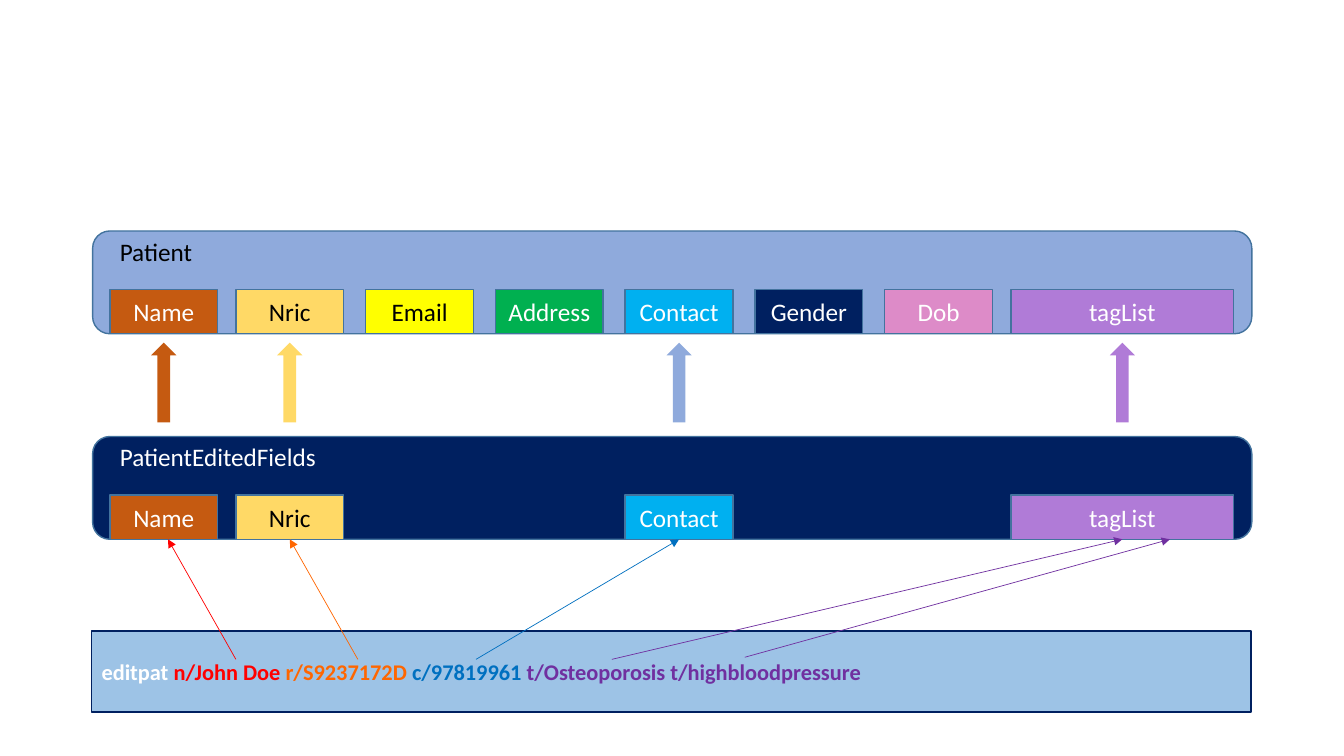
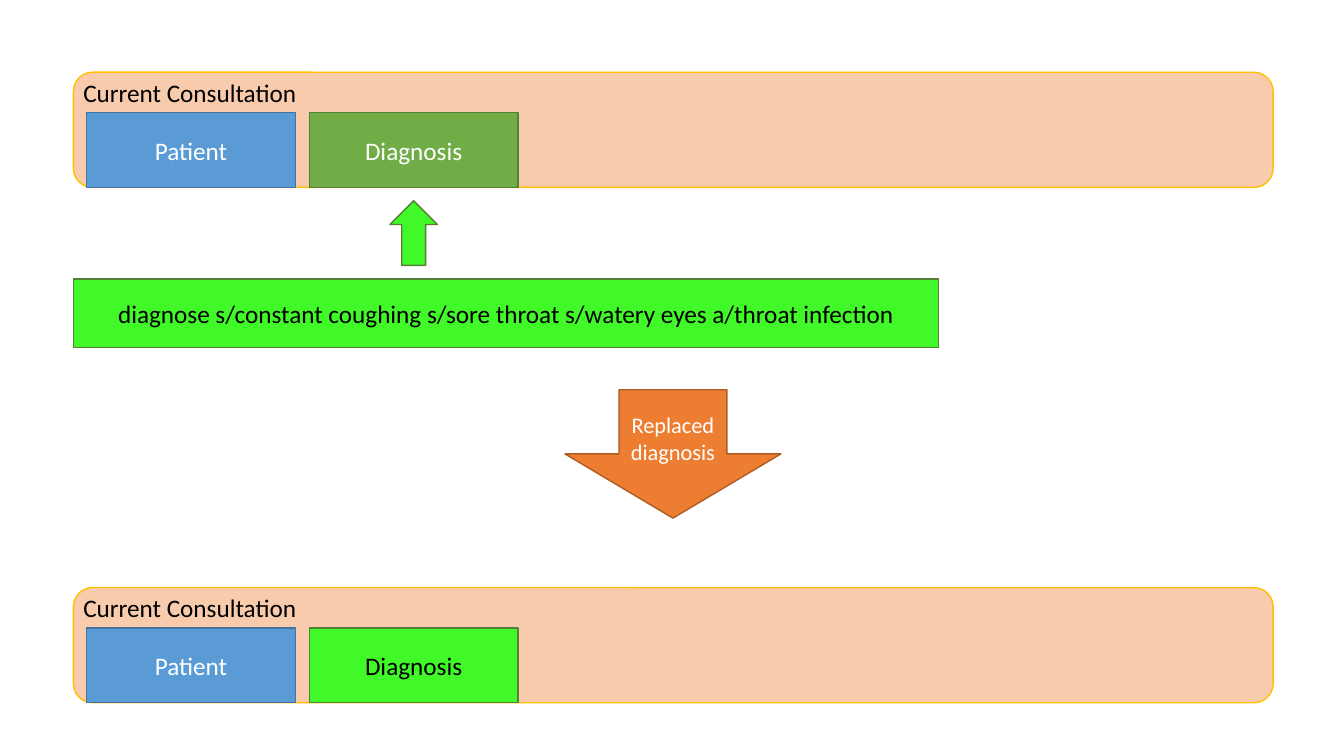
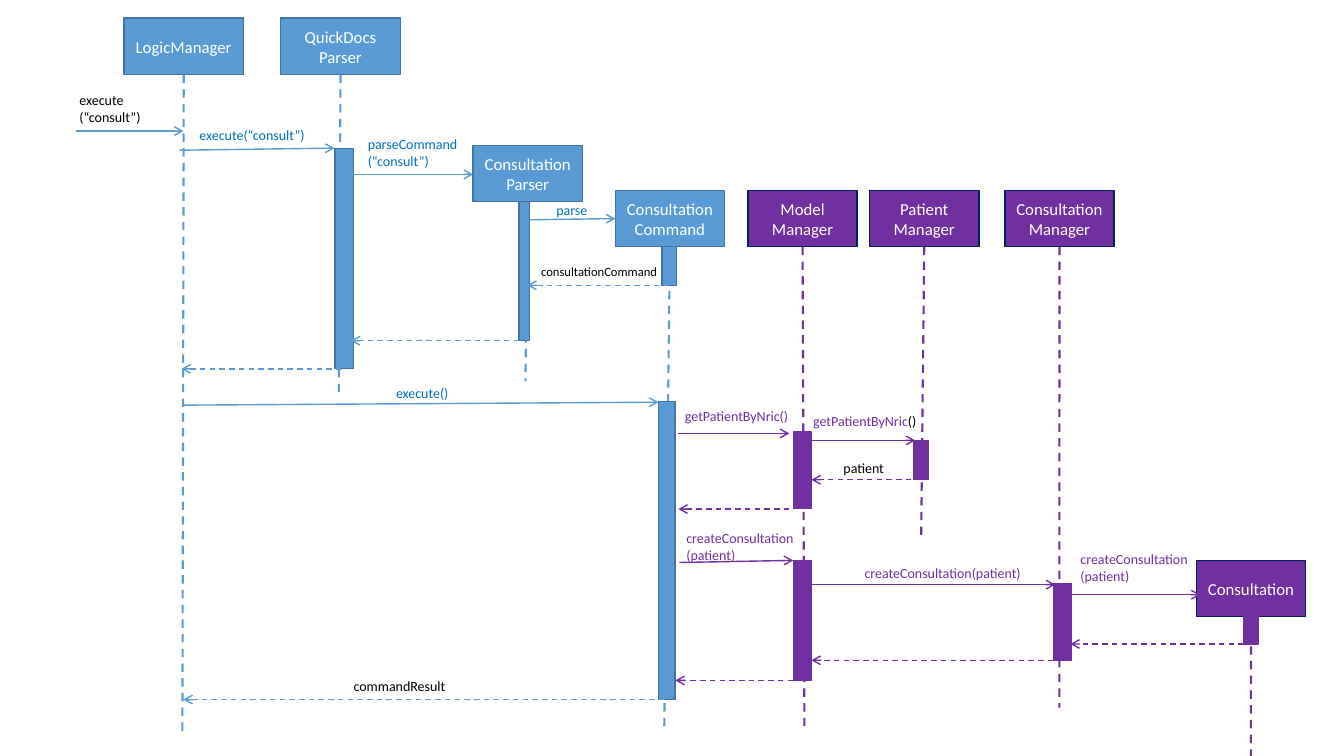
"""Builds three slides on patient editing, diagnosis replacement and consultation flow."""
from lxml import etree
from pptx import Presentation
from pptx.dml.color import RGBColor
from pptx.enum.dml import MSO_LINE
from pptx.enum.shapes import MSO_CONNECTOR, MSO_SHAPE as SHAPE
from pptx.enum.text import MSO_ANCHOR as ANCHOR, PP_ALIGN as ALIGN
from pptx.oxml.ns import qn
from pptx.util import Pt

FONT = "Calibri"
WHITE = RGBColor(0xFF, 0xFF, 0xFF)
BLACK = RGBColor(0x00, 0x00, 0x00)
NAVY = RGBColor(0x00, 0x20, 0x60)
STEEL = RGBColor(0x43, 0x73, 0x9E)
BLUE = RGBColor(0x5B, 0x9B, 0xD5)
INK_BLUE = RGBColor(0x00, 0x70, 0xC0)
PERIWINKLE = RGBColor(0x8F, 0xAA, 0xDC)
PALE_BLUE = RGBColor(0x9D, 0xC3, 0xE6)
SKY = RGBColor(0x00, 0xB0, 0xF0)
PURPLE = RGBColor(0x70, 0x30, 0xA0)
LILAC = RGBColor(0xB0, 0x7B, 0xD7)
PINK = RGBColor(0xDD, 0x8B, 0xC8)
RUST = RGBColor(0xC5, 0x5A, 0x11)
SAND = RGBColor(0xFF, 0xD9, 0x66)
YELLOW = RGBColor(0xFF, 0xFF, 0x00)
GREEN = RGBColor(0x00, 0xB0, 0x50)
RED = RGBColor(0xFF, 0x00, 0x00)
FLAME = RGBColor(0xFF, 0x66, 0x00)
PEACH = RGBColor(0xF8, 0xCB, 0xAD)
GOLD = RGBColor(0xFF, 0xC0, 0x00)
LEAF = RGBColor(0x70, 0xAD, 0x47)
MOSS = RGBColor(0x53, 0x80, 0x35)
LIME = RGBColor(0x41, 0xF8, 0x28)
ORANGE = RGBColor(0xED, 0x7D, 0x31)
BROWN = RGBColor(0xAF, 0x5C, 0x24)

FIELD_PITCH = 92.7
FIELDS = [
    ("Name", 78.5, 77, RUST, WHITE),
    *((name, 168.5 + FIELD_PITCH * i, 77, fill, ink) for i, (name, fill, ink) in enumerate([
        ("Nric", SAND, BLACK), ("Email", YELLOW, BLACK), ("Address", GREEN, WHITE),
        ("Contact", SKY, WHITE), ("Gender", NAVY, WHITE), ("Dob", PINK, WHITE)])),
    ("tagList", 722.2, 159, LILAC, WHITE),
]
EDITED = {"Name": RUST, "Nric": SAND, "Contact": PERIWINKLE, "tagList": LILAC}
RECORDS = [
    ("PatientEditedFields", 311.8, 156.5, NAVY, WHITE, list(EDITED)),
    ("Patient", 165, 67, PERIWINKLE, BLACK, [field[0] for field in FIELDS]),
]
EDIT_COMMAND = (
    ("editpat ", WHITE), ("n/John Doe ", RED), ("r/S9237172D ", FLAME),
    ("c/97819961 ", INK_BLUE), ("t/Osteoporosis t/highbloodpressure", PURPLE),
)
EDIT_LINKS = [
    ((168.5, 471), "Name", 3, RED),
    ((255.6, 471), "Nric", 0, FLAME),
    ((340, 471), "Contact", 0, INK_BLUE),
    ((437, 471), "tagList", 0, PURPLE),
    ((532, 469.5), "tagList", 34, PURPLE),
]

CONSULTATIONS = [(51.6, LEAF, WHITE), (419.7, LIME, BLACK)]
DIAGNOSE_COMMAND = "diagnose s/constant coughing s/sore throat s/watery eyes a/throat infection"

HEAD_H = 40.3
HEADS = [
    ("LogicManager", 88.5, 13, 85.5, BLUE, (130.3, 526.3)),
    ("QuickDocs\nParser", 200.5, 13, 85.5, BLUE, (242, 282.2)),
    ("Consultation\nParser", 338, 103.8, 78, BLUE, (375.3, 272.2)),
    ("ConsultationCommand", 439.5, 136, 78, BLUE, (474.5, 518.4)),
    ("Model\nManager", 534.3, 136, 78, PURPLE, (574.6, 518.4)),
    ("Patient\nManager", 621.2, 136, 78, PURPLE, (658, 383.8)),
    ("Consultation\nManager", 717.8, 136, 78, PURPLE, (756.7, 505.4)),
    ("Consultation", 854.6, 400.3, 78, PURPLE, (893.5, 540)),
]
HEAD_EDGE = {BLUE: STEEL, PURPLE: NAVY}
BAR_EDGE = {BLUE: STEEL, PURPLE: PURPLE}
ACTIVATIONS = [
    (239.2, 106, 13.2, 157.2, BLUE), (370.8, 144, 7.6, 99.4, BLUE),
    (473, 176, 10.5, 27.8, BLUE), (470.3, 287, 12, 212.7, BLUE),
    (566.8, 308.5, 13, 55, PURPLE), (652.3, 314.5, 10.8, 28, PURPLE),
    (566.8, 400.5, 13, 85.7, PURPLE), (752.5, 417, 13, 54.6, PURPLE),
    (888.2, 432, 10.8, 28, PURPLE),
]
CALLS = [
    ((54, 93.6), (131, 93.6), BLUE), ((128.2, 107.3), (239, 105.8), BLUE),
    ((250.6, 124.6), (338, 124.6), BLUE), ((378.7, 157), "ConsultationCommand", BLUE),
    ((131, 289.4), (470.3, 287.3), BLUE), ((484.6, 309.6), (563.8, 309.6), PURPLE),
    ((573.8, 314.6), (653.8, 314.6), PURPLE), ((485.3, 401.8), (566.6, 400.3), PURPLE),
    ((575.3, 417.6), (753.8, 417.6), PURPLE), ((765.4, 424.8), (857.5, 424.8), PURPLE),
]
RETURNS = [
    (478, 376.6, 203.8, BLUE), (370.8, 250.6, 243.4, BLUE), (244, 129.6, 263.5, BLUE),
    (474.5, 131, 499.7, BLUE), (650.9, 579.6, 342.7, PURPLE), (563.8, 484.6, 363.6, PURPLE),
    (888.5, 764.6, 460, PURPLE), (752.4, 579.6, 471.6, PURPLE), (566.6, 482.4, 486, PURPLE),
]
MESSAGE_LABELS = [
    ("execute\n(“consult”)", 49.7, 62, 62, BLACK, 10),
    ("execute(“consult”)", 135.4, 86.6, 93, INK_BLUE, 10),
    ("parseCommand\n(“consult”)", 255.6, 93.6, 82, INK_BLUE, 10),
    ("parse", 390.3, 140.4, 39, INK_BLUE, 10),
    ("consultationCommand", 379.4, 185, 106, BLACK, 9),
    ("execute()", 275.8, 270.8, 55, INK_BLUE, 10),
    ("getPatientByNric()", 482.2, 287.3, 92, PURPLE, 10),
    ((("getPatientByNric", PURPLE), ("()", BLACK)), 573.8, 290.9, 94, PURPLE, 10),
    ("patient", 595.4, 324.7, 46, BLACK, 10),
    ("createConsultation\n(patient)", 483.2, 374.6, 94, PURPLE, 10),
    ("createConsultation(patient)", 610.5, 399.6, 129, PURPLE, 10),
    ("createConsultation\n(patient)", 764.7, 389.6, 94, PURPLE, 10),
    ("commandResult", 245.5, 480.2, 93, BLACK, 10),
]


def put(target, **values):
    for key, value in values.items():
        setattr(target, key, value)


def write(frame, text, ink, size, align, bold=False):
    """Fill a frame from a string, or from one paragraph of (text, ink) runs."""
    lines = [[(line, ink)] for line in text.split("\n")] if isinstance(text, str) else [text]
    for i, line in enumerate(lines):
        paragraph = frame.add_paragraph() if i else frame.paragraphs[0]
        paragraph.alignment = align
        for words, color in line:
            run = paragraph.add_run()
            run.text = words
            put(run.font, name=FONT, size=Pt(size), bold=bold)
            run.font.color.rgb = color


def box(slide, preset, area, fill, edge=None, text="", ink=WHITE, size=18,
        align=ALIGN.CENTER, bold=False):
    shape = slide.shapes.add_shape(preset, *map(Pt, area))
    shape.shadow.inherit = False
    shape.fill.solid()
    shape.fill.fore_color.rgb = fill
    if edge is None:
        shape.line.fill.background()
    else:
        shape.line.color.rgb = edge
        shape.line.width = Pt(1)
    if text:
        put(shape.text_frame, word_wrap=True, vertical_anchor=ANCHOR.MIDDLE)
        write(shape.text_frame, text, ink, size, align, bold)
    return shape


def label(slide, text, left, top, width, ink, size=18):
    rows = text.count("\n") + 1 if isinstance(text, str) else 1
    height = rows * size * 1.2 + 7.4
    frame = slide.shapes.add_textbox(Pt(left), Pt(top), Pt(width), Pt(height)).text_frame
    frame.word_wrap = True
    write(frame, text, ink, size, ALIGN.LEFT)


def link(slide, start, end, color, width=1, dashed=False, head=None):
    connector = slide.shapes.add_connector(MSO_CONNECTOR.STRAIGHT, *map(Pt, (*start, *end)))
    connector.line.color.rgb = color
    connector.line.width = Pt(width)
    if dashed:
        connector.line.dash_style = MSO_LINE.DASH
    properties = connector.element.spPr
    if head:
        etree.SubElement(properties.find(qn("a:ln")), qn("a:tailEnd"), type=head)
    etree.SubElement(properties, qn("a:effectLst"))
    return connector


def edit_slide(slide):
    band_h, field_h = 73.4, 31.7
    targets, centers = {}, {}
    for title, top, title_w, fill, title_ink, shown in RECORDS:
        box(slide, SHAPE.ROUNDED_RECTANGLE, (66.2, top, 828, band_h), fill, STEEL)
        label(slide, title, 78.5, top, title_w, title_ink)
        for name, left, width, color, ink in FIELDS:
            if name in shown:
                area = (left, top + band_h - field_h, width, field_h)
                field = box(slide, SHAPE.RECTANGLE, area, color, STEEL, name, ink)
                targets.setdefault(name, field)
                centers[name] = left + width / 2
    for name, color in EDITED.items():
        box(slide, SHAPE.UP_ARROW, (centers[name] - 9, 244.8, 18, 56.9), color)
    box(slide, SHAPE.RECTANGLE, (65.5, 450.7, 828, 57.8), PALE_BLUE, NAVY,
        EDIT_COMMAND, size=16, align=ALIGN.JUSTIFY, bold=True)
    for start, name, shift, color in EDIT_LINKS:
        end = (centers[name] + shift, RECORDS[0][1] + band_h)
        arrow = link(slide, start, end, color, 0.5, head="triangle")
        if not shift:
            arrow.end_connect(targets[name], 2)


def diagnosis_slide(slide):
    left, band_h, card_top, card_w, pitch = 52.4, 82.3, 28.8, 149, 159
    card_left = left + 9.6
    for top, fill, ink in CONSULTATIONS:
        box(slide, SHAPE.ROUNDED_RECTANGLE, (left, top, 857, band_h), PEACH, GOLD)
        label(slide, "Current Consultation", left, top, 170, BLACK)
        cards = [("Patient", BLUE, STEEL, WHITE), ("Diagnosis", fill, MOSS, ink)]
        for i, (name, color, edge, card_ink) in enumerate(cards):
            area = (card_left + i * pitch, top + card_top, card_w, band_h - card_top)
            box(slide, SHAPE.RECTANGLE, area, color, edge, name, card_ink)
    box(slide, SHAPE.RECTANGLE, (left, 199.3, 618, 49), LIME, MOSS, DIAGNOSE_COMMAND, BLACK)
    diagnosis_center = card_left + pitch + card_w / 2
    box(slide, SHAPE.UP_ARROW, (diagnosis_center - 17, 143.4, 34, 46.2), LIME, MOSS)
    box(slide, SHAPE.DOWN_ARROW, (403.6, 278.4, 154.2, 91.7), ORANGE, BROWN,
        "Replaced diagnosis", size=16)


def sequence_slide(slide):
    heads = {}
    for name, left, top, width, color, foot in HEADS:
        area = (left, top, width, HEAD_H)
        heads[name] = box(slide, SHAPE.RECTANGLE, area, color, HEAD_EDGE[color], name, size=12)
        lifeline = link(slide, (left + width / 2, top + HEAD_H), foot, color, 1.5, dashed=True)
        lifeline.begin_connect(heads[name], 2)
    for *area, color in ACTIVATIONS:
        box(slide, SHAPE.RECTANGLE, area, color, BAR_EDGE[color])
    for start, end, color in CALLS:
        if end in heads:
            link(slide, start, start, color, head="arrow").end_connect(heads[end], 1)
        else:
            link(slide, start, end, color, head="arrow")
    for start_x, end_x, y, color in RETURNS:
        link(slide, (start_x, y), (end_x, y), color, dashed=True, head="arrow")
    for message in MESSAGE_LABELS:
        label(slide, *message)


def main():
    deck = Presentation()
    put(deck, slide_width=Pt(960), slide_height=Pt(540))
    for build in (edit_slide, diagnosis_slide, sequence_slide):
        build(deck.slides.add_slide(deck.slide_layouts[6]))
    deck.save("out.pptx")


if __name__ == "__main__":
    main()
